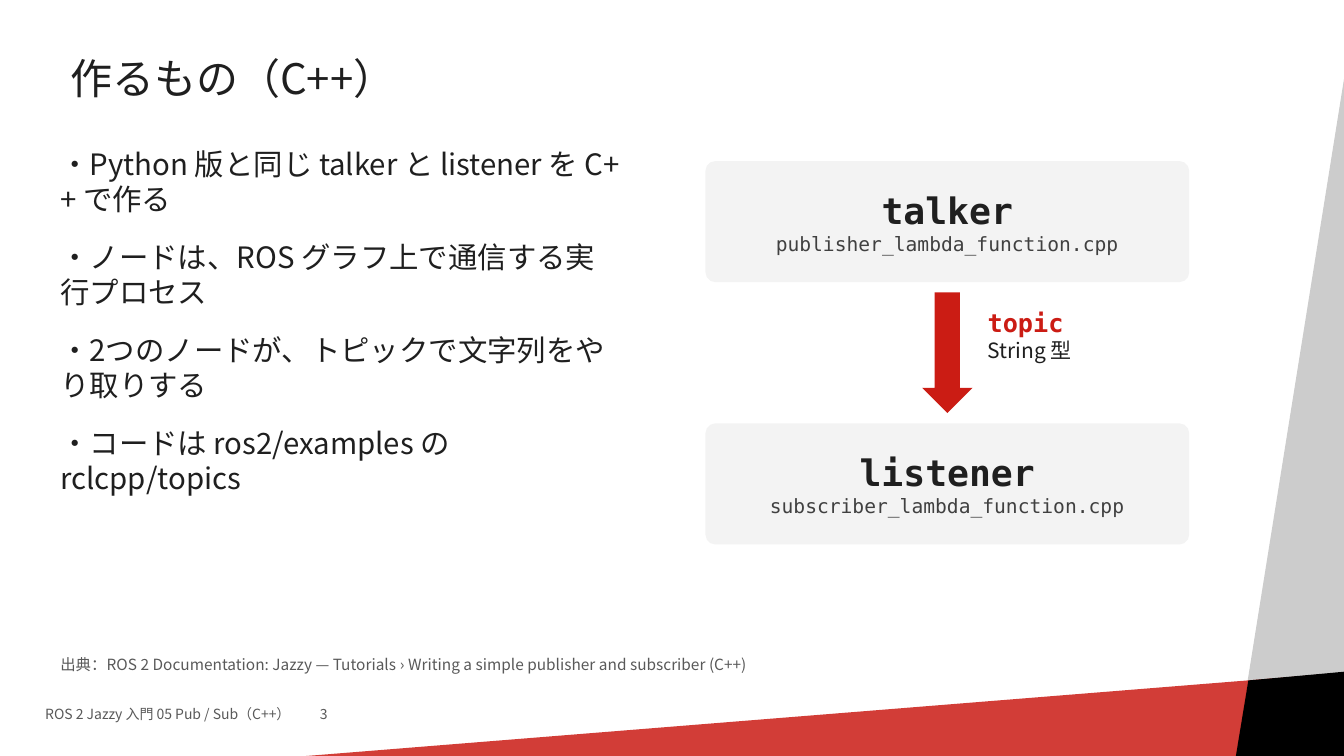
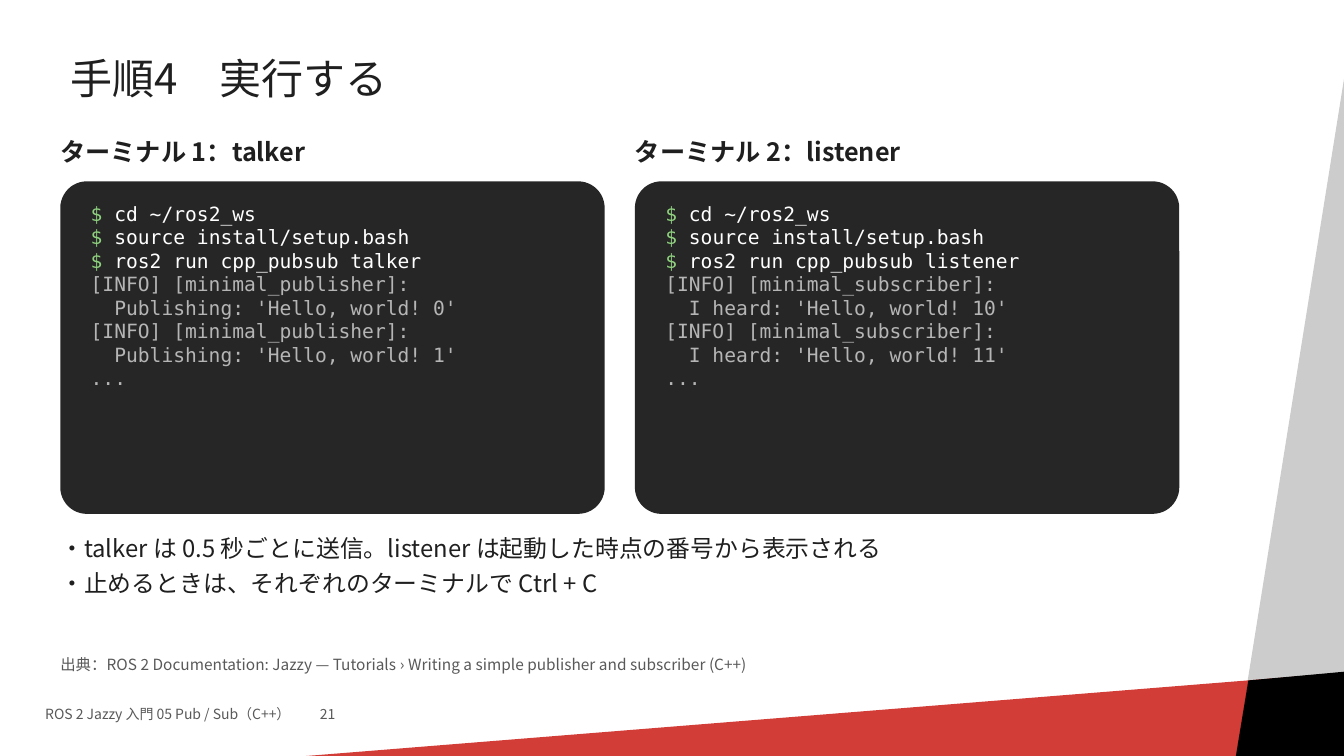
from lxml import etree
from pptx import Presentation
from pptx.dml.color import RGBColor
from pptx.enum.shapes import MSO_SHAPE
from pptx.enum.text import MSO_ANCHOR, PP_ALIGN
from pptx.oxml.ns import qn
from pptx.util import Cm, Pt

RECTANGLE = MSO_SHAPE.RECTANGLE
PARALLELOGRAM = MSO_SHAPE.PARALLELOGRAM
ROUNDED = MSO_SHAPE.ROUNDED_RECTANGLE
DOWN_ARROW = MSO_SHAPE.DOWN_ARROW
TOP, MIDDLE = MSO_ANCHOR.TOP, MSO_ANCHOR.MIDDLE
LEFT, CENTER = PP_ALIGN.LEFT, PP_ALIGN.CENTER

SANS, MONO = "Noto Sans CJK JP", "DejaVu Sans Mono"
COLORS = {
    "ink": "1F1F1F", "muted": "595959", "file": "404040", "red": "CB1C14",
    "gray": "CCCCCC", "black": "000000", "card": "F3F3F3", "terminal": "262626",
    "prompt": "8FD17F", "command": "FFFFFF", "output": "B5B5B5",
}
ROUNDING = {ROUNDED: 0.08, PARALLELOGRAM: 0.26}

WIDTH, HEIGHT = 33.87, 19.05
MARGIN = 1.52
BANDS = [
    (RECTANGLE, "gray", 100, 279.1, (15.98, 15.93, 34.72, 3.99)),
    (RECTANGLE, "red", 85, 355.4, (1.5, 18.16, 34.72, 2.92)),
    (PARALLELOGRAM, "black", 100, 354.8, (30.81, 16.99, 4.88, 3)),
]
FOOTER = "ROS 2 Jazzy 入門 05 Pub / Sub（C++）"
SOURCE = ("出典：ROS 2 Documentation: Jazzy — Tutorials › "
          "Writing a simple publisher and subscriber (C++)")

OVERVIEW = {
    "title": "作るもの（C++）",
    "number": 3,
    "points": [
        "・Python 版と同じ talker と listener を C++ で作る",
        "・ノードは、ROS グラフ上で通信する実行プロセス",
        "・2つのノードが、トピックで文字列をやり取りする",
        "・コードは ros2/examples の rclcpp/topics",
    ],
    "nodes": [
        ("talker", "publisher_lambda_function.cpp"),
        ("listener", "subscriber_lambda_function.cpp"),
    ],
    "topic": ("topic", "String 型"),
}
RUNNING = {
    "title": "手順4　実行する",
    "number": 21,
    "terminals": [
        ("ターミナル 1：talker",
         ["cd ~/ros2_ws", "source install/setup.bash", "ros2 run cpp_pubsub talker"],
         ["[INFO] [minimal_publisher]:", "  Publishing: 'Hello, world! 0'",
          "[INFO] [minimal_publisher]:", "  Publishing: 'Hello, world! 1'", "..."]),
        ("ターミナル 2：listener",
         ["cd ~/ros2_ws", "source install/setup.bash", "ros2 run cpp_pubsub listener"],
         ["[INFO] [minimal_subscriber]:", "  I heard: 'Hello, world! 10'",
          "[INFO] [minimal_subscriber]:", "  I heard: 'Hello, world! 11'", "..."]),
    ],
    "points": [
        "・talker は 0.5 秒ごとに送信。listener は起動した時点の番号から表示される",
        "・止めるときは、それぞれのターミナルで Ctrl + C",
    ],
}


def rgb(color):
    return RGBColor.from_string(COLORS[color])


def add_panel(page, kind, color, left, top, width, height):
    panel = page.shapes.add_shape(kind, Cm(left), Cm(top), Cm(width), Cm(height))
    panel.shadow.inherit = False
    panel.fill.solid()
    panel.fill.fore_color.rgb = rgb(color)
    panel.line.fill.background()
    if kind in ROUNDING:
        panel.adjustments[0] = ROUNDING[kind]
    return panel


def set_frame(shape, anchor=TOP, inset_x=0, inset_y=0):
    frame = shape.text_frame
    frame.word_wrap = True
    frame.vertical_anchor = anchor
    frame.margin_left = frame.margin_right = Cm(inset_x)
    frame.margin_top = frame.margin_bottom = Cm(inset_y)
    return frame


def style(para, size, color="ink", name=SANS, bold=False, align=LEFT):
    para.alignment = align
    font = para.font
    font.size, font.bold, font.name = Pt(size), bold, name
    font.color.rgb = rgb(color)


def write_lines(frame, lines, gap=0):
    for index, (text, look) in enumerate(lines):
        para = frame.add_paragraph() if index else frame.paragraphs[0]
        para.text = text
        if index and gap:
            para.space_before = Pt(gap)
        style(para, **look)


def add_text(page, left, top, width, height, lines, gap=0, **frame_options):
    box = page.shapes.add_textbox(Cm(left), Cm(top), Cm(width), Cm(height))
    frame = set_frame(box, **frame_options)
    write_lines(frame, lines, gap)
    return frame


def add_band(page, kind, color, opacity, angle, place):
    band = add_panel(page, kind, color, *place)
    band.rotation = angle
    if opacity < 100:
        value = band._element.spPr.find(qn("a:solidFill"))[0]
        etree.SubElement(value, qn("a:alpha")).set("val", str(opacity * 1000))


def add_page(deck, content):
    page = deck.slides.add_slide(deck.slide_layouts[6])
    for band in BANDS:
        add_band(page, *band)
    title = add_text(page, MARGIN, 0.89, 26.42, 2.29,
                     [(content["title"], {"size": 30})],
                     anchor=MIDDLE, inset_x=0.25, inset_y=0.13)
    title.paragraphs[0].line_spacing = 0.9
    footer = add_text(page, 1.14, 17.78, 11.43, 0.76, [])
    para = footer.paragraphs[0]
    para.text = f"{FOOTER}\t{content['number']}"
    tabs = etree.SubElement(para._p.get_or_add_pPr(), qn("a:tabLst"))
    stop = etree.SubElement(tabs, qn("a:tab"))
    stop.set("pos", str(Cm(6.92)))
    stop.set("algn", "l")
    style(para, 10, "muted")
    add_text(page, MARGIN, 16.51, 24.13, 0.76,
             [(SOURCE, {"size": 11, "color": "muted"})])
    return page


def build_overview(deck):
    page = add_page(deck, OVERVIEW)
    add_text(page, MARGIN, 3.68, 14.22, 12.45,
             [(point, {"size": 21}) for point in OVERVIEW["points"]], gap=16)

    left, top, width, height, pitch = 17.78, 4.06, 12.19, 3.05, 6.61
    for index, (node, file_name) in enumerate(OVERVIEW["nodes"]):
        card = add_panel(page, ROUNDED, "card", left, top + index * pitch, width, height)
        write_lines(set_frame(card, MIDDLE), [
            (node, {"size": 26, "name": MONO, "bold": True, "align": CENTER}),
            (file_name, {"size": 14, "color": "file", "name": MONO, "align": CENTER}),
        ])

    arrow_width, space = 1.27, 0.26
    add_panel(page, DOWN_ARROW, "red", left + (width - arrow_width) / 2,
              top + height + space, arrow_width, pitch - height - 2 * space)
    topic, kind = OVERVIEW["topic"]
    add_text(page, 24.89, 7.75, 5.08, 2.29, [
        (topic, {"size": 18, "color": "red", "name": MONO, "bold": True}),
        (kind, {"size": 15}),
    ])


def build_running(deck):
    page = add_page(deck, RUNNING)
    width, gap = 13.72, 0.76
    for index, (heading, commands, output) in enumerate(RUNNING["terminals"]):
        left = MARGIN + index * (width + gap)
        add_text(page, left, 3.43, width, 1.02, [(heading, {"size": 18, "bold": True})])
        terminal = add_panel(page, ROUNDED, "terminal", left, 4.57, width, 8.38)
        frame = set_frame(terminal, inset_x=0.57, inset_y=0.31)
        look = {"size": 14, "color": "output", "name": MONO}
        write_lines(frame, [("", look)] * len(commands) + [(line, look) for line in output])
        for para, command in zip(frame.paragraphs, commands):
            for text, color in (("$ ", "prompt"), (command, "command")):
                span = para.add_run()
                span.text = text
                span.font.color.rgb = rgb(color)
    add_text(page, MARGIN, 13.46, 27.94, 2.79,
             [(point, {"size": 17}) for point in RUNNING["points"]], gap=4)


def main():
    deck = Presentation()
    deck.slide_width, deck.slide_height = Cm(WIDTH), Cm(HEIGHT)
    build_overview(deck)
    build_running(deck)
    deck.save("out.pptx")


if __name__ == "__main__":
    main()
